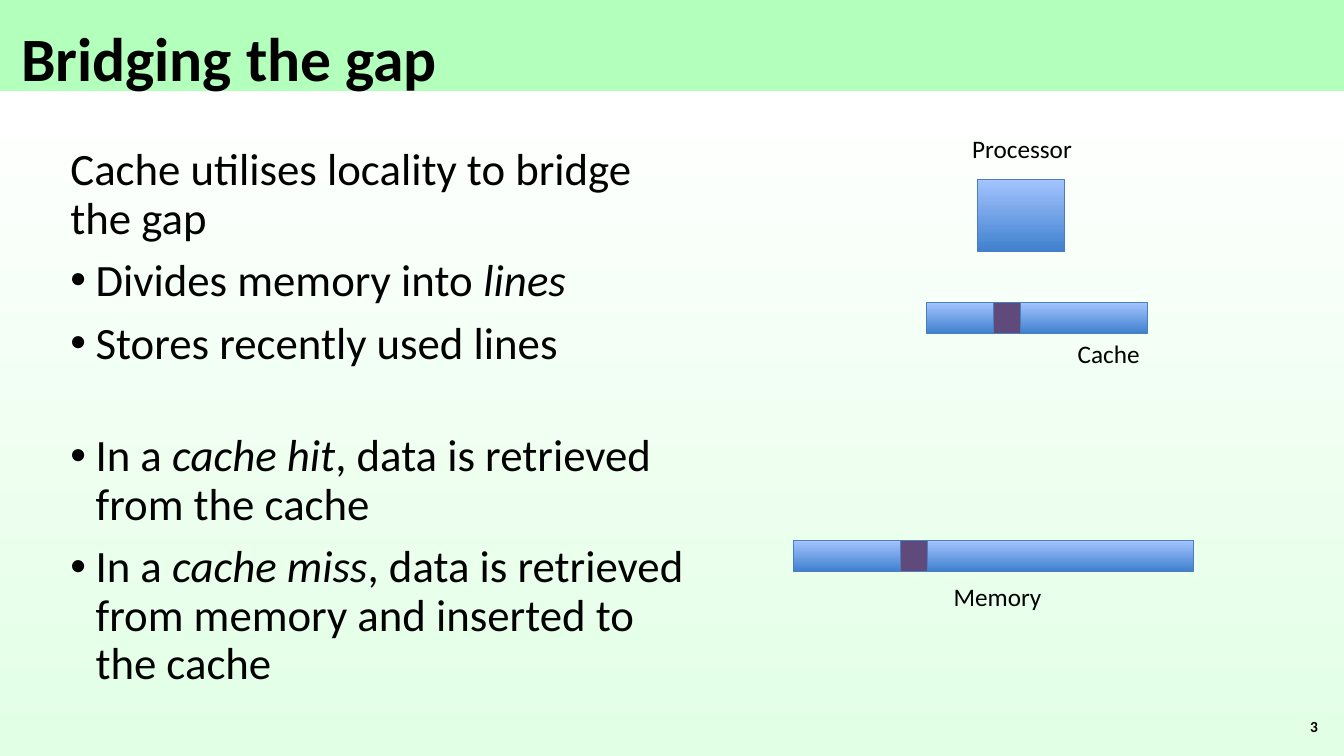
from copy import deepcopy

from lxml import etree
from pptx import Presentation
from pptx.dml.color import RGBColor
from pptx.enum.shapes import MSO_SHAPE as Preset
from pptx.enum.text import MSO_ANCHOR as Anchor, PP_ALIGN as Align
from pptx.oxml.ns import qn
from pptx.util import Inches, Pt

FONT = "Calibri"
COLORS = {
    "ink": "000000",
    "band": "B3FFBC",
    "paper": "FFFFFF",
    "mint": "E1FFE5",
    "block_dark": "3F80CE",
    "block_light": "A4C4FF",
    "edge": "4B7EBC",
    "line": "604A7B",
}
BAR_HEIGHT = 0.31
LINE_WIDTH = 0.27
LABEL_HEIGHT = 0.4

POINTS = [
    (["Cache utilises locality to bridge the gap"], False, 10),
    (["Divides memory into ", "*lines"], True, 10),
    (["Stores recently used lines"], True, 10),
    (["In a ", "*cache hit", ", data is retrieved from the cache"], True, 46),
    (["In a ", "*cache miss",
      ", data is retrieved from memory and inserted to the cache"], True, 10),
]


def color(name):
    return RGBColor.from_string(COLORS[name])


def place(item, left, top, width, height):
    item.left, item.top = Inches(left), Inches(top)
    item.width, item.height = Inches(width), Inches(height)


def write(para, text, size, bold=False, italic=False):
    span = para.add_run()
    span.text = text
    span.font.name = FONT
    span.font.size = Pt(size)
    span.font.bold = bold
    span.font.italic = italic
    span.font.color.rgb = color("ink")


def add_bullet(para):
    props = para._p.get_or_add_pPr()
    props.set("marL", str(Inches(0.25)))
    props.set("indent", str(-Inches(0.25)))
    etree.SubElement(props, qn("a:buFont"), typeface="Arial")
    etree.SubElement(props, qn("a:buChar"), char="•")


def fill_gradient(fill, owner, stops, angle):
    fill.gradient()
    fill.gradient_angle = angle
    stop_list = owner.xpath(".//a:gsLst")[0]
    for _ in range(len(stops) - len(stop_list)):
        stop_list.append(deepcopy(stop_list[-1]))
    for stop, (position, name) in zip(fill.gradient_stops, stops):
        stop.position = position
        stop.color.rgb = color(name)


def add_background(page):
    stops = [(0, "band"), (0.12, "band"), (0.12, "paper"), (1, "mint")]
    fill_gradient(page.background.fill, page.element, stops, 270)


def add_title(page, left, top, width, height):
    title = page.shapes.title
    place(title, left, top, width, height)
    frame = title.text_frame
    frame.word_wrap = True
    frame.vertical_anchor = Anchor.BOTTOM
    para = frame.paragraphs[0]
    para.alignment = Align.LEFT
    para.line_spacing = 0.9
    write(para, "Bridging the gap", 44, bold=True)


def add_points(page, left, top, width, height):
    box = page.shapes.add_textbox(0, 0, 0, 0)
    place(box, left, top, width, height)
    frame = box.text_frame
    frame.word_wrap = True
    for index, (parts, bulleted, gap) in enumerate(POINTS):
        para = frame.add_paragraph() if index else frame.paragraphs[0]
        para.line_spacing = 0.9
        para.space_before = Pt(gap)
        if bulleted:
            add_bullet(para)
        for part in parts:
            write(para, part.lstrip("*"), 32, italic=part.startswith("*"))


def add_block(page, left, top, width, height, solid=None):
    block = page.shapes.add_shape(Preset.RECTANGLE, 0, 0, 0, 0)
    place(block, left, top, width, height)
    block.shadow.inherit = False
    if solid:
        block.fill.solid()
        block.fill.fore_color.rgb = color(solid)
    else:
        stops = [(0, "block_dark"), (1, "block_light")]
        fill_gradient(block.fill, block.element, stops, 90)
    block.line.color.rgb = color("edge")
    block.line.width = Pt(0.75)


def add_label(page, text, left, top, width, size=18, bold=False,
              align=Align.LEFT, anchor=Anchor.TOP):
    box = page.shapes.add_textbox(0, 0, 0, 0)
    place(box, left, top, width, LABEL_HEIGHT)
    box.text_frame.word_wrap = False
    box.text_frame.vertical_anchor = anchor
    para = box.text_frame.paragraphs[0]
    para.alignment = align
    write(para, text, size, bold=bold)


def add_storage(page, left, top, width, line_offset):
    add_block(page, left, top, width, BAR_HEIGHT)
    add_block(page, left + line_offset, top, LINE_WIDTH, BAR_HEIGHT, "line")


def add_hierarchy(page, left, top):
    add_label(page, "Processor", left + 1.66, top, 1.2, align=Align.RIGHT)
    add_block(page, left + 1.83, top + 0.51, 0.86, 0.72)
    add_storage(page, left + 1.32, top + 1.73, 2.19, 0.66)
    add_label(page, "Cache", left + 2.72, top + 2.04, 0.82)
    add_storage(page, left, top + 4.09, 3.97, 1.06)
    add_label(page, "Memory", left + 1.49, top + 4.45, 1.08)


def main():
    deck = Presentation()
    deck.slide_width, deck.slide_height = Inches(13.33), Inches(7.5)
    page = deck.slides.add_slide(deck.slide_layouts.get_by_name("Title Only"))
    add_background(page)
    add_title(page, 0.11, 0.04, 8.29, 0.95)
    add_points(page, 0.6, 1.41, 6.3, 5.53)
    add_hierarchy(page, 7.87, 1.27)
    add_label(page, "3", 12.19, 7.01, 0.98, size=11, bold=True,
              align=Align.RIGHT, anchor=Anchor.MIDDLE)
    deck.save("out.pptx")


if __name__ == "__main__":
    main()
